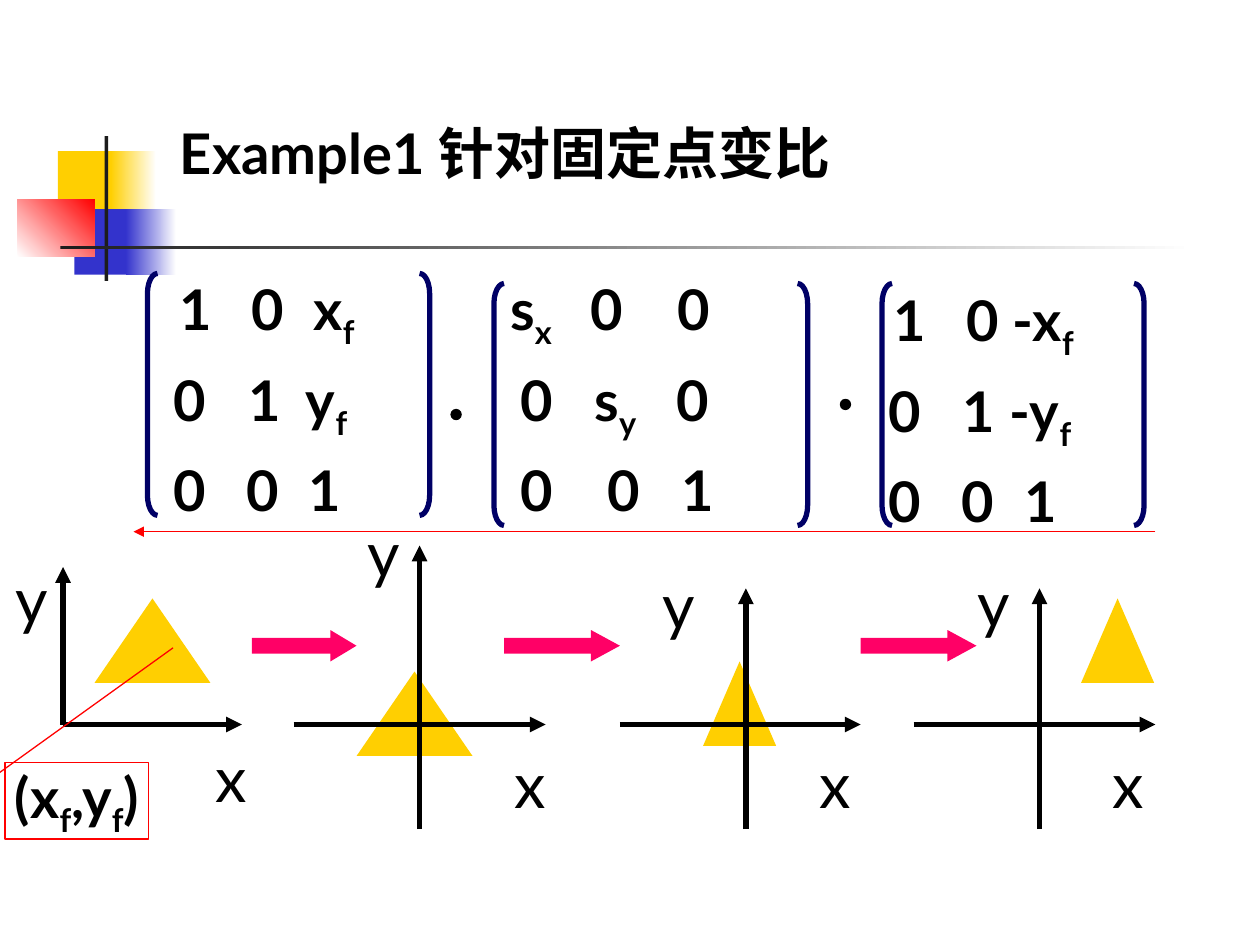
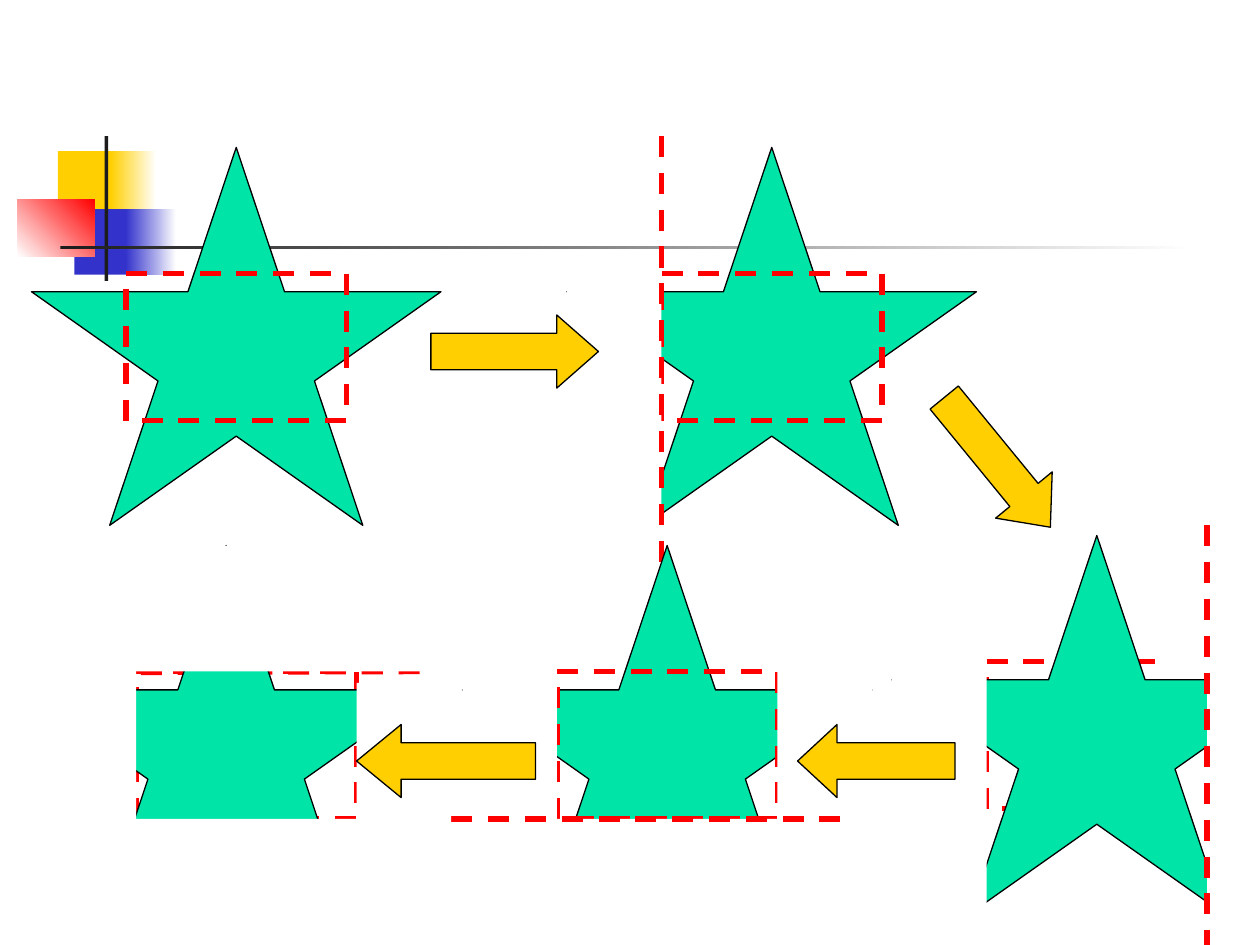
from lxml import etree
from pptx import Presentation
from pptx import util as u
from pptx.dml.color import RGBColor
from pptx.enum import dml, shapes, text
from pptx.oxml.ns import qn

# Shared look
FONT = "Lato"
BLACK, WHITE, RED = "000000", "FFFFFF", "FF0000"
YELLOW, BLUE, CHARCOAL = "FFCF01", "3333CC", "1C1C1C"
PINK, NAVY, GREEN = "FF0066", "000066", "00E4A8"
BOLD = {"size": u.Pt(32), "bold": True}
AXIS_LABEL = {"size": u.Pt(36)}
SHAPE = shapes.MSO_SHAPE


def color(value):
    return RGBColor.from_string(value)


def inches(*lengths):
    return [u.Inches(length) for length in lengths]


# Element builders
def style_line(line, value, width, dashed=False):
    line.color.rgb = color(value)
    line.width = u.Pt(width)
    if dashed:
        line.dash_style = dml.MSO_LINE.DASH


def add_shape(page, kind, at, fill=None, line=None, adjust=()):
    shape = page.shapes.add_shape(kind, *inches(*at))
    shape.shadow.inherit = False
    if fill:
        shape.fill.solid()
        shape.fill.fore_color.rgb = color(fill)
    else:
        shape.fill.background()
    if line:
        style_line(shape.line, *line)
    else:
        shape.line.fill.background()
    for index, value in enumerate(adjust):
        shape.adjustments[index] = value
    return shape


def add_gradient(page, at, start, end, angle=0):
    shape = add_shape(page, SHAPE.RECTANGLE, at)
    shape.fill.gradient()
    shape.fill.gradient_angle = angle
    for stop, value in zip(shape.fill.gradient_stops, (start, end)):
        stop.color.rgb = color(value)


def add_line(page, start, end, value, width, dashed=False, arrow=False):
    line = page.shapes.add_connector(
        shapes.MSO_CONNECTOR.STRAIGHT, *inches(*start, *end))
    style_line(line.line, value, width, dashed)
    if arrow:
        tip = etree.SubElement(line.line._get_or_add_ln(), qn("a:tailEnd"))
        tip.set("type", "triangle")
    etree.SubElement(line._element.spPr, qn("a:effectLst"))


def add_spans(para, content, font_values):
    """Write content, lowering each part that follows an underscore."""
    for index, part in enumerate(content.replace("_", "|_").split("|")):
        lowered = part.startswith("_")
        pieces = [(part[1], True), (part[2:], False)] if lowered else [(part, False)]
        for words, is_subscript in pieces:
            if not words:
                continue
            span = para.add_run()
            span.text = words
            span.font.name = FONT
            span.font.color.rgb = color(BLACK)
            for name, value in font_values.items():
                setattr(span.font, name, value)
            if is_subscript:
                span._r.get_or_add_rPr().set("baseline", "-25000")


def set_frame(frame, **values):
    for name, value in values.items():
        setattr(frame, name, value)


def add_text(page, at, content, font_values, **frame_values):
    box = page.shapes.add_textbox(*inches(*at))
    set_frame(box.text_frame, **frame_values)
    add_spans(box.text_frame.paragraphs[0], content, font_values)
    return box


def centre_tight(frame):
    set_frame(frame, word_wrap=False, margin_left=0, margin_right=0,
              margin_top=0, margin_bottom=0,
              vertical_anchor=text.MSO_ANCHOR.MIDDLE)
    frame.paragraphs[0].alignment = text.PP_ALIGN.CENTER


def add_axis_label(page, left, top, letter):
    box = add_text(page, (left, top, 0.27, 0.6), letter, AXIS_LABEL)
    centre_tight(box.text_frame)


def add_decoration(page):
    add_shape(page, SHAPE.RECTANGLE, (0.46, 1.2, 0.48, 0.52), YELLOW)
    add_gradient(page, (0.88, 1.2, 0.36, 0.52), YELLOW, WHITE)
    add_shape(page, SHAPE.RECTANGLE, (0.59, 1.66, 0.46, 0.52), BLUE)
    add_gradient(page, (1, 1.66, 0.4, 0.52), BLUE, WHITE)
    add_gradient(page, (0.14, 1.58, 0.61, 0.46), WHITE, RED, 45)
    add_shape(page, SHAPE.RECTANGLE, (0.83, 1.08, 0.03, 1.15), CHARCOAL)
    add_gradient(page, (0.48, 1.95, 9, 0.03), CHARCOAL, WHITE)


# Parts of the scaling page
def add_matrix(page, left, top, rows):
    """Each row is a list of (tab stop, entry)."""
    box = page.shapes.add_textbox(*inches(left, top, 2.58, 2.17))
    frame = box.text_frame
    set_frame(frame, word_wrap=True, margin_top=u.Inches(0.1))
    for index, row in enumerate(rows):
        para = frame.paragraphs[0] if index == 0 else frame.add_paragraph()
        if index:
            para.space_before = u.Pt(8)
        tabs = etree.SubElement(para._p.get_or_add_pPr(), qn("a:tabLst"))
        for stop, _ in row:
            tab = etree.SubElement(tabs, qn("a:tab"))
            tab.set("pos", str(u.Inches(stop)))
            tab.set("algn", "l")
        add_spans(para, "".join("\t" + entry for _, entry in row), BOLD)


def add_brackets(page, left, right, top):
    for kind, edge in ((SHAPE.LEFT_BRACKET, left), (SHAPE.RIGHT_BRACKET, right)):
        add_shape(page, kind, (edge, top, 0.08, 1.92), None, (NAVY, 3), (2,))


def add_plot(page, triangle, across, upright, x_label, y_label):
    add_shape(page, SHAPE.ISOSCELES_TRIANGLE, (*triangle, 0.67), YELLOW)
    start, end = across
    add_line(page, (start, 5.75), (end, 5.75), BLACK, 3, arrow=True)
    x, top, bottom = upright
    add_line(page, (x, bottom), (x, top), BLACK, 3, arrow=True)
    add_axis_label(page, *x_label, "x")
    add_axis_label(page, *y_label, "y")


def build_scaling_page(page):
    add_text(page, (1.33, 0.44, 7.16, 1.08), "Example1 针对固定点变比", BOLD,
             word_wrap=True, vertical_anchor=text.MSO_ANCHOR.BOTTOM)

    # Plots: triangle, horizontal axis, vertical axis, labels
    plots = (
        ((0.75, 4.75, 0.92), (0.5, 1.92), (0.5, 4.5, 5.75), (1.7, 5.87), (0.12, 4.45)),
        ((2.83, 5.33, 0.92), (2.33, 4.33), (3.33, 4.33, 6.58), (4.07, 5.92), (2.91, 4.08)),
        ((5.58, 5.25, 0.58), (4.92, 6.83), (5.92, 4.67, 6.58), (6.49, 5.92), (5.25, 4.5)),
        ((8.58, 4.75, 0.58), (7.25, 9.17), (8.25, 4.67, 6.58), (8.82, 5.92), (7.75, 4.48)),
    )
    for plot in plots:
        add_plot(page, *plot)
    for left, width in ((2, 0.83), (4, 0.92), (6.83, 0.92)):
        add_shape(page, SHAPE.RIGHT_ARROW, (left, 5, width, 0.25), PINK,
                  adjust=(0.5, width))

    # Fixed point callout
    callout = add_shape(page, SHAPE.LINE_CALLOUT_1, (0.04, 6.05, 1.14, 0.61),
                        None, (RED, 0.75), (0.19, -0.08, -1.49, 1.17))
    centre_tight(callout.text_frame)
    add_spans(callout.text_frame.paragraphs[0], "(x_f,y_f)", BOLD)

    # Matrix product
    add_matrix(page, 1.08, 2.08, (
        ((0.25, "1"), (0.82, "0"), (1.31, "x_f")),
        ((0.2, "0"), (0.79, "1"), (1.25, "y_f")),
        ((0.2, "0"), (0.78, "0"), (1.27, "1"))))
    add_matrix(page, 3.83, 2.08, (
        ((0.12, "s_x"), (0.76, "0"), (1.45, "0")),
        ((0.2, "0"), (0.79, "s_y"), (1.44, "0")),
        ((0.2, "0"), (0.89, "0"), (1.48, "1"))))
    add_matrix(page, 6.75, 2.17, (
        ((0.24, "1"), (0.82, "0"), (1.19, "-x_f")),
        ((0.2, "0"), (0.79, "1"), (1.16, "-y_f")),
        ((0.2, "0"), (0.78, "0"), (1.28, "1"))))
    for left, right, top in ((1.17, 3.33, 2.17), (3.92, 6.33, 2.25), (7, 9, 2.25)):
        add_brackets(page, left, right, top)
    for left, top in ((3.58, 3.25), (6.67, 3.17)):
        add_shape(page, SHAPE.OVAL, (left, top, 0.08, 0.08), BLACK, (BLACK, 0.75))
    add_line(page, (9.17, 4.22), (1.06, 4.22), RED, 0.75, arrow=True)


# Parts of the clipping page
def add_star(page, left, top):
    add_shape(page, SHAPE.STAR_5_POINT, (left, top, 3.25, 3), GREEN, (BLACK, 0.75))


def add_window(page, left, top):
    add_shape(page, SHAPE.RECTANGLE, (left, top, 1.75, 1.17), None, (RED, 3, True))


def add_mask(page, *at):
    add_shape(page, SHAPE.RECTANGLE, at, WHITE)


def add_cut(page, start, end):
    add_line(page, start, end, RED, 3, dashed=True)


def add_step_arrow(page, kind, left, top, width, rotation=0):
    arrow = add_shape(page, kind, (left, top, width, 0.58), YELLOW,
                      (BLACK, 0.75), (0.5, round(width * 0.43, 2)))
    arrow.rotation = rotation


def build_clipping_page(page):
    # Whole star
    add_star(page, 0.25, 1.17)
    add_window(page, 1, 2.17)

    # Left edge clipped
    add_star(page, 4.5, 1.17)
    add_window(page, 5.25, 2.17)
    add_mask(page, 4.5, 2, 0.75, 2.58)
    add_cut(page, (5.25, 1.08), (5.25, 4.58))

    # Bottom edge clipped
    add_star(page, 3.67, 4.33)
    add_window(page, 4.42, 5.33)
    add_mask(page, 3.67, 5.17, 0.75, 2.33)
    add_mask(page, 4.25, 6.5, 2.42, 1)
    add_mask(page, 6.17, 4.75, 0.75, 2.58)
    add_cut(page, (6.67, 6.5), (3.5, 6.5))

    # Top edge clipped
    add_window(page, 1.08, 5.33)
    add_cut(page, (3.33, 5.33), (0.17, 5.34))
    add_star(page, 0.17, 4.33)
    add_mask(page, 0, 5.16, 1.08, 2.33)
    add_mask(page, 0.92, 6.5, 2.42, 1)
    add_mask(page, 1, 4.33, 2.42, 1)
    add_mask(page, 2.83, 5.42, 0.75, 1.42)

    # Right edge clipped
    add_window(page, 7.83, 5.25)
    add_mask(page, 9.17, 4.75, 0.83, 2.58)
    add_star(page, 7.08, 4.25)
    add_mask(page, 7.08, 5.08, 0.75, 2.58)
    add_mask(page, 9.58, 4.83, 0.75, 2.58)
    add_cut(page, (9.58, 4.17), (9.58, 7.67))

    # Order of the steps
    add_step_arrow(page, SHAPE.RIGHT_ARROW, 3.42, 2.5, 1.33)
    add_step_arrow(page, SHAPE.RIGHT_ARROW, 7.25, 3.38, 1.33, 50.7)
    add_step_arrow(page, SHAPE.LEFT_ARROW, 6.33, 5.75, 1.25)
    add_step_arrow(page, SHAPE.LEFT_ARROW, 2.83, 5.75, 1.42)


def main():
    deck = Presentation()
    deck.slide_width, deck.slide_height = inches(10, 7.5)
    for build in (build_scaling_page, build_clipping_page):
        page = deck.slides.add_slide(deck.slide_layouts[6])
        add_decoration(page)
        build(page)
    deck.save("out.pptx")


if __name__ == "__main__":
    main()
